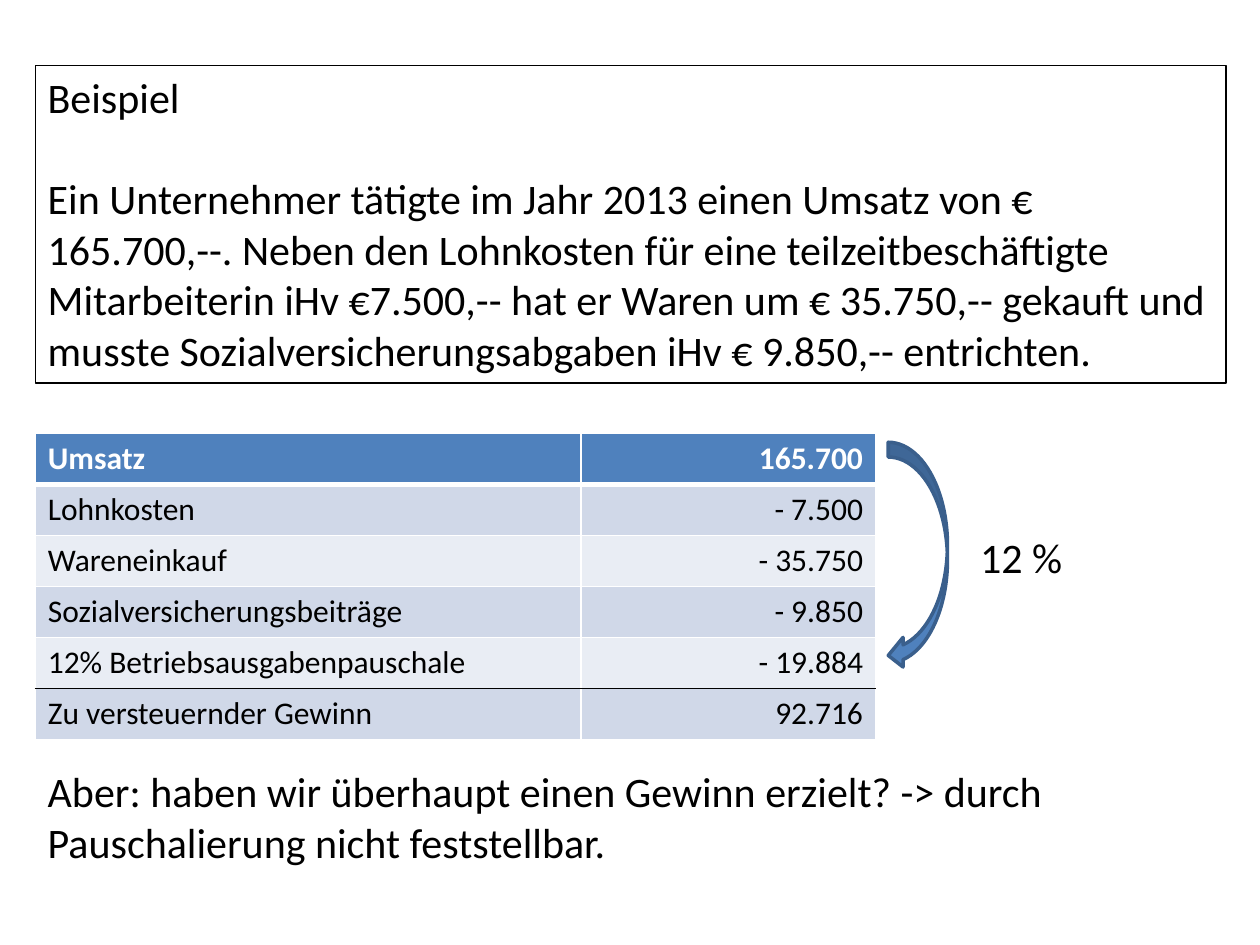
from lxml import etree
from pptx import Presentation
from pptx.dml.color import RGBColor
from pptx.enum import shapes, text
from pptx.oxml import ns
from pptx.util import Inches, Pt

FONT = "Calibri"
BLACK, WHITE, BLUE = "000000", "FFFFFF", "4F81BD"
BANDS = ("D0D8E8", "E9EDF4")
ROWS = [
    ("Umsatz", "165.700"),
    ("Lohnkosten", "- 7.500"),
    ("Wareneinkauf", "- 35.750"),
    ("Sozialversicherungsbeiträge", "- 9.850"),
    ("12% Betriebsausgabenpauschale", "- 19.884"),
    ("Zu versteuernder Gewinn", "92.716"),
]
EXAMPLE = (
    "Beispiel",
    "Ein Unternehmer tätigte im Jahr 2013 einen Umsatz von € 165.700,--. "
    "Neben den Lohnkosten für eine teilzeitbeschäftigte Mitarbeiterin iHv "
    "€7.500,-- hat er Waren um € 35.750,-- gekauft und musste "
    "Sozialversicherungsabgaben iHv € 9.850,-- entrichten.",
)
QUESTION = (
    "Aber: haben wir überhaupt einen Gewinn erzielt? -> durch "
    "Pauschalierung nicht feststellbar."
)


def rgb(color):
    return RGBColor.from_string(color)


def add_run(p, content, size, color=BLACK, bold=False):
    r = p.add_run()
    r.text = content
    r.font.name = FONT
    r.font.size = Pt(size)
    r.font.bold = bold
    r.font.color.rgb = rgb(color)


def add_text(s, box, *paragraphs, outline=None):
    sp = s.shapes.add_textbox(*map(Inches, box))
    if outline:
        sp.line.color.rgb = rgb(outline)
        sp.line.width = Pt(0.75)
    tf = sp.text_frame
    tf.word_wrap = True
    tf.auto_size = text.MSO_AUTO_SIZE.SHAPE_TO_FIT_TEXT
    for i, content in enumerate(paragraphs):
        p = tf.add_paragraph() if i else tf.paragraphs[0]
        if i:
            p.space_before = Pt(29)
        add_run(p, content, 24)


def set_borders(cell, top, bottom):
    tc_pr = cell._tc.get_or_add_tcPr()
    sides = {"lnL": (WHITE, 1), "lnR": (WHITE, 1), "lnT": top, "lnB": bottom}
    for side, (color, width) in sides.items():
        ln = etree.SubElement(tc_pr, ns.qn("a:" + side), w=str(Pt(width)))
        fill = etree.SubElement(ln, ns.qn("a:solidFill"))
        etree.SubElement(fill, ns.qn("a:srgbClr"), val=color)


def add_profit_table(s, box):
    left, top, width, height = map(Inches, box)
    table = s.shapes.add_table(len(ROWS), 2, left, top, width, height).table
    table.columns[0].width = Inches(4.33)
    table.columns[1].width = width - Inches(4.33)
    rules = [(WHITE, 1)] * (len(ROWS) + 1)
    rules[1] = (WHITE, 3)
    rules[-2] = (BLACK, 1)
    for i, row in enumerate(ROWS):
        header = i == 0
        for j, content in enumerate(row):
            cell = table.cell(i, j)
            set_borders(cell, rules[i], rules[i + 1])
            cell.fill.solid()
            cell.fill.fore_color.rgb = rgb(BLUE if header else BANDS[(i - 1) % 2])
            p = cell.text_frame.paragraphs[0]
            if j:
                p.alignment = text.PP_ALIGN.RIGHT
            add_run(p, content, 18, WHITE if header else BLACK, header)


def add_rate_arrow(s, box):
    sp = s.shapes.add_shape(shapes.MSO_SHAPE.CURVED_LEFT_ARROW, *map(Inches, box))
    sp.shadow.inherit = False
    sp.fill.solid()
    sp.fill.fore_color.rgb = rgb(BLUE)
    sp.line.color.rgb = rgb("3A5F8C")
    sp.line.width = Pt(2)


def main():
    prs = Presentation()
    prs.slide_width, prs.slide_height = Inches(10), Inches(7.5)
    s = prs.slides.add_slide(prs.slide_layouts[6])
    add_text(s, (0.28, 0.52, 9.45, 2.52), *EXAMPLE, outline=BLACK)
    add_profit_table(s, (0.28, 3.44, 6.67, 2.43))
    add_rate_arrow(s, (7.05, 3.51, 0.47, 1.81))
    add_text(s, (7.68, 4.17, 1.1, 0.5), "12 %")
    add_text(s, (0.28, 6.03, 9.45, 0.91), QUESTION)
    prs.save("out.pptx")


if __name__ == "__main__":
    main()
